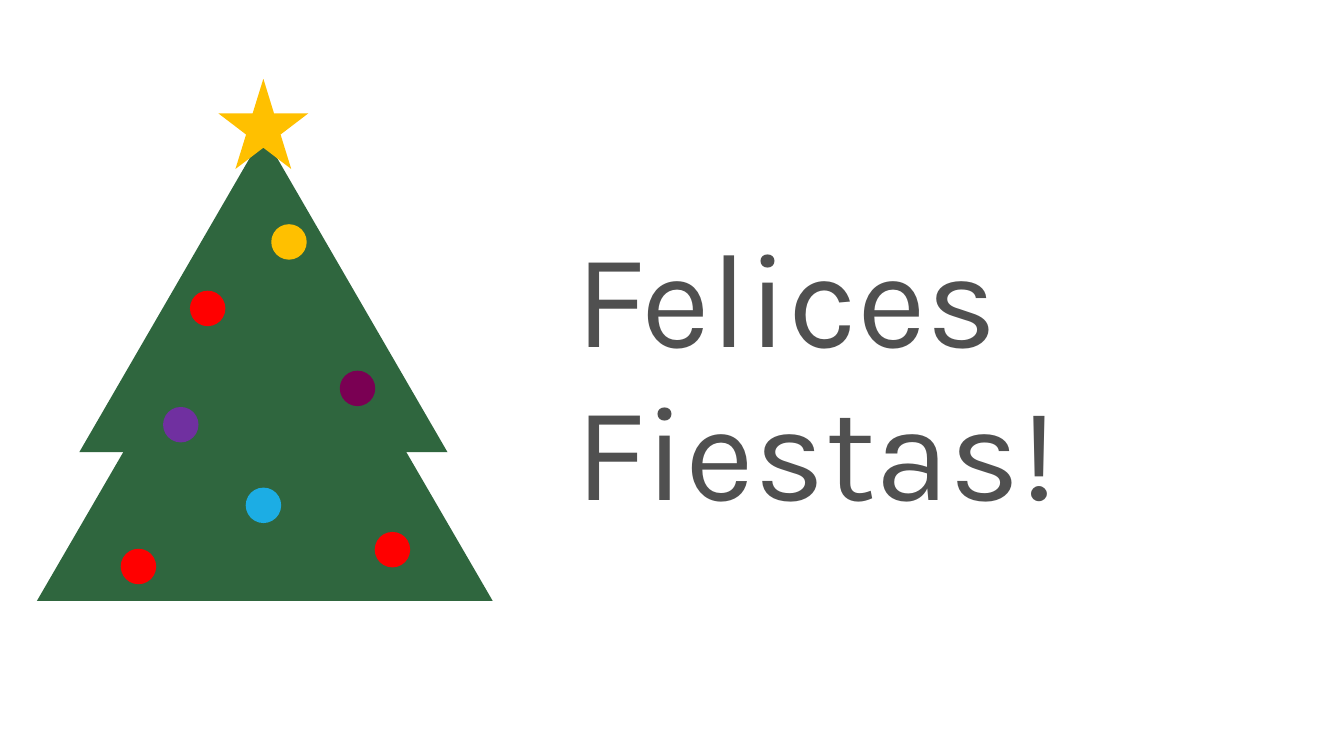
from lxml import etree
from pptx import Presentation
from pptx.dml.color import RGBColor
from pptx.enum.shapes import MSO_SHAPE
from pptx.enum.text import MSO_ANCHOR
from pptx.oxml.ns import qn
from pptx.util import Emu, Pt

TRIANGLE = MSO_SHAPE.ISOSCELES_TRIANGLE
STAR = MSO_SHAPE.STAR_5_POINT
BAUBLE = MSO_SHAPE.FLOWCHART_CONNECTOR
MIDDLE = MSO_ANCHOR.MIDDLE

EMU_PER_PX = 4572
BAUBLE_SIZE = 50
FONT = "Karla"
COLORS = {
    "text": "505050",
    "tree": "2F663E",
    "gold": "FFC000",
    "red": "FF0000",
    "blue": "1CADE4",
    "plum": "7A0053",
    "violet": "7030A0",
}
TREE_TIERS = [(118, 200, 548, 473), (55, 310, 678, 584)]
BAUBLES = [
    (559, 793, "red"),
    (367, 727, "blue"),
    (181, 818, "red"),
    (507, 553, "plum"),
    (244, 607, "violet"),
    (284, 434, "red"),
    (405, 335, "gold"),
]


def px(length):
    return Emu(length * EMU_PER_PX)


def color(name):
    return RGBColor.from_string(COLORS[name])


def add_figure(slide, kind, box, color_name, outlined=True):
    figure = slide.shapes.add_shape(kind, *map(px, box))
    figure.shadow.inherit = False
    figure.fill.solid()
    figure.fill.fore_color.rgb = color(color_name)
    if outlined:
        figure.line.color.rgb = color(color_name)
        figure.line.width = Pt(1)
        outline = figure.element.spPr.find(qn("a:ln"))
        etree.SubElement(outline, qn("a:miter"), lim="800000")
    else:
        figure.line.fill.background()


def add_greeting(slide, text, box):
    frame = slide.shapes.add_textbox(*map(px, box)).text_frame
    frame.word_wrap = True
    frame.vertical_anchor = MIDDLE
    frame.margin_left = frame.margin_right = px(30)
    frame.margin_top = frame.margin_bottom = px(24)
    frame.text = text
    greeting = frame.paragraphs[0]
    greeting.line_spacing = 0.95
    greeting.space_after = Pt(12)
    font = greeting.runs[0].font
    font.name = FONT
    font.size = Pt(72)
    font.color.rgb = color("text")


def main():
    presentation = Presentation()
    presentation.slide_width = px(2000)
    presentation.slide_height = px(1125)
    slide = presentation.slides.add_slide(presentation.slide_layouts[6])

    add_greeting(slide, "Felices Fiestas!", (826, 421, 1174, 284))
    for tier in TREE_TIERS:
        add_figure(slide, TRIANGLE, tier, "tree", outlined=False)
    add_figure(slide, STAR, (329, 122, 126, 126), "gold")
    for left, top, color_name in BAUBLES:
        add_figure(slide, BAUBLE, (left, top, BAUBLE_SIZE, BAUBLE_SIZE), color_name)

    presentation.save("out.pptx")


if __name__ == "__main__":
    main()
